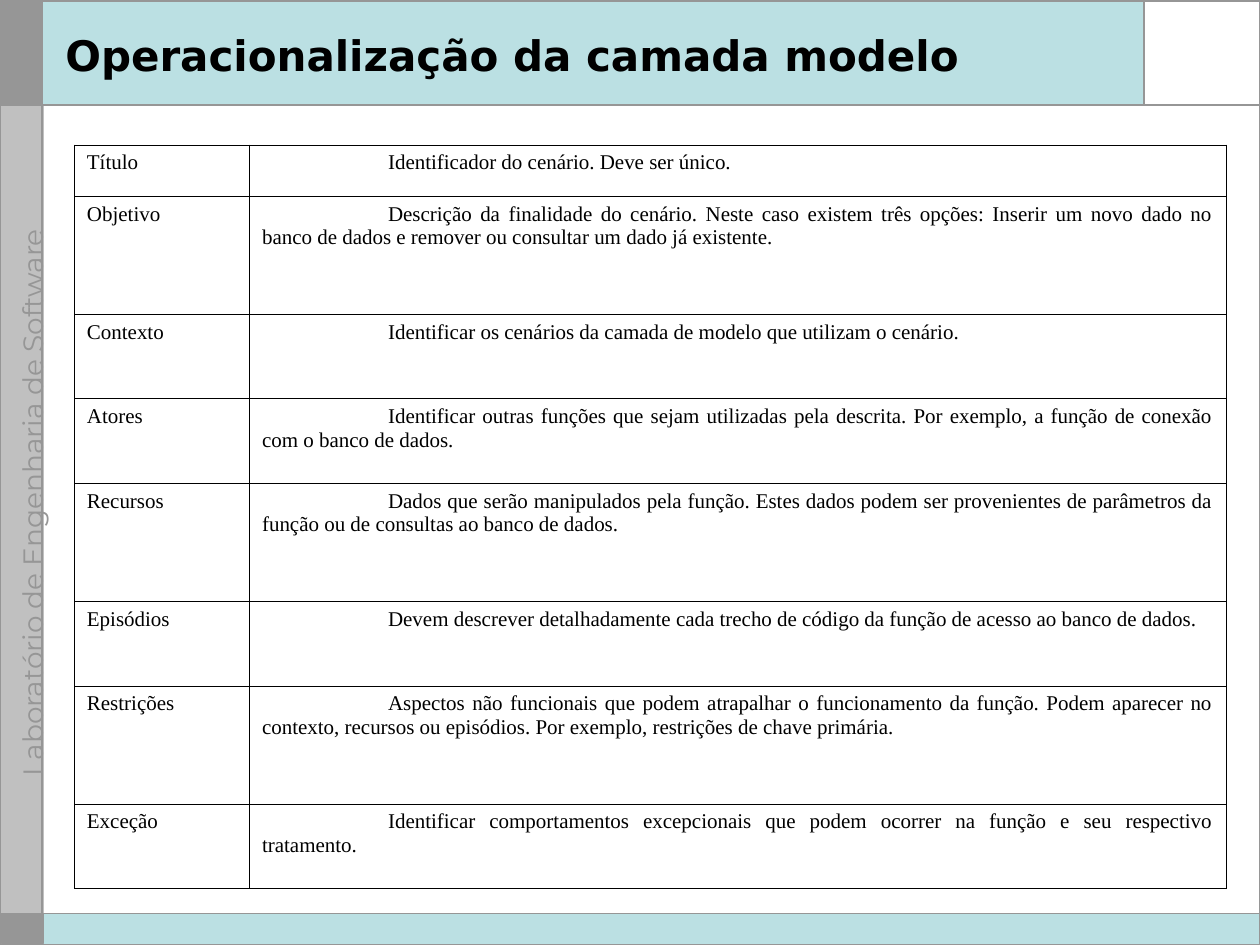
from typing import NamedTuple

from pptx import Presentation
from pptx.dml.color import RGBColor as Rgb
from pptx.enum.shapes import MSO_CONNECTOR as Link, MSO_SHAPE as Form
from pptx.enum.text import MSO_ANCHOR as Anchor, PP_ALIGN as Align
from pptx.oxml import parse_xml
from pptx.oxml.ns import nsdecls, qn
from pptx.oxml.xmlchemy import OxmlElement as Node
from pptx.util import Inches, Pt

INK = {"black": "000000", "white": "FFFFFF", "aqua": "BBE0E3",
       "grey": "969696", "light": "C0C0C0"}

# Fine grid of 1000 columns by 750 rows over the slide
COLS, ROWS = 1000, 750
WIDE, HIGH = Inches(10), Inches(7.5)
RAIL, HEAD, FOOT, LOGO = 33.3, 83.3, 725, 908
TAB = 914400


class Box(NamedTuple):
    x: float
    y: float
    w: float
    h: float


class Panel(NamedTuple):
    box: Box
    fill: str | None
    line: str | None = None
    width: float = 0.75


class Rule(NamedTuple):
    x1: float
    y1: float
    x2: float
    y2: float


class Label(NamedTuple):
    box: Box
    text: str
    font: dict
    ink: str
    frame: dict
    align: Align = Align.LEFT
    turn: float = 0


PANELS = [
    Panel(Box(1, 1, RAIL, HEAD), "grey", "grey"),
    Panel(Box(RAIL, 0, COLS - RAIL, HEAD), "aqua"),
    Panel(Box(1, HEAD, RAIL, FOOT - HEAD), "light", "light"),
    Panel(Box(LOGO, 0, COLS - LOGO, HEAD), "white"),
    Panel(Box(RAIL, FOOT, COLS - RAIL, ROWS - FOOT), "aqua"),
    Panel(Box(1, FOOT, RAIL, 24), "grey", "grey"),
    Panel(Box(0, 1, COLS, ROWS - 1), None, "grey", 1),
]
RULES = [
    Rule(LOGO, 0, LOGO, HEAD),
    Rule(0, HEAD, COLS, HEAD),
    Rule(RAIL, 0, RAIL, ROWS),
    Rule(0, FOOT, COLS, FOOT),
]
LABELS = [
    # Wide enough to hold the side text on one line
    Label(Box(-224, 390, 480, 18), "Laboratório de Engenharia de Software",
          {"name": "Montserrat", "size": Pt(16)}, "grey",
          {"word_wrap": False}, Align.CENTER, 270),
    Label(Box(42, 12, 858, 62), "Operacionalização da camada modelo",
          {"name": "DejaVu Sans", "size": Pt(24), "bold": True}, "black",
          {"word_wrap": True, "vertical_anchor": Anchor.MIDDLE}),
]

# Row heights of the table, by size
SHORT, MID, TALL = 40.6, 67.2, 93.7
SPANS = (139, 775)
ITEMS = [
    (SHORT, "Título", "Identificador do cenário. Deve ser único."),
    (TALL, "Objetivo", "Descrição da finalidade do cenário. Neste caso existem "
     "três opções: Inserir um novo dado no banco de dados e remover ou "
     "consultar um dado já existente."),
    (MID, "Contexto", "Identificar os cenários da camada de modelo que "
     "utilizam o cenário."),
    (MID, "Atores", "Identificar outras funções que sejam utilizadas pela "
     "descrita. Por exemplo, a função de conexão com o banco de dados."),
    (TALL, "Recursos", "Dados que serão manipulados pela função. Estes dados "
     "podem ser provenientes de parâmetros da função ou de consultas ao banco "
     "de dados."),
    (MID, "Episódios", "Devem descrever detalhadamente cada trecho de código "
     "da função de acesso ao banco de dados."),
    (TALL, "Restrições", "Aspectos não funcionais que podem atrapalhar o "
     "funcionamento da função. Podem aparecer no contexto, recursos ou "
     "episódios. Por exemplo, restrições de chave primária."),
    (MID, "Exceção", "Identificar comportamentos excepcionais que podem "
     "ocorrer na função e seu respectivo tratamento."),
]


def across(n: float) -> int:
    return round(WIDE * n / COLS)


def down(n: float) -> int:
    return round(HIGH * n / ROWS)


def place(box: Box) -> tuple:
    return across(box.x), down(box.y), across(box.w), down(box.h)


def tint(name: str) -> Rgb:
    return Rgb.from_string(INK[name])


def apply(part, values: dict) -> None:
    for key, value in values.items():
        setattr(part, key, value)


def write(frame, text: str, font: dict, ink: str, align: Align):
    para = frame.paragraphs[0]
    para.alignment = align
    run = para.add_run()
    run.text = text
    apply(run.font, font)
    run.font.color.rgb = tint(ink)
    return para


def draw_panel(slide, panel: Panel) -> None:
    shape = slide.shapes.add_shape(Form.RECTANGLE, *place(panel.box))
    shape.shadow.inherit = False
    if panel.fill:
        shape.fill.solid()
        shape.fill.fore_color.rgb = tint(panel.fill)
    else:
        shape.fill.background()
    if panel.line:
        shape.line.color.rgb = tint(panel.line)
        shape.line.width = Pt(panel.width)
    else:
        shape.line.fill.background()


def draw_rule(slide, rule: Rule) -> None:
    line = slide.shapes.add_connector(
        Link.STRAIGHT, across(rule.x1), down(rule.y1),
        across(rule.x2), down(rule.y2))
    line.line.color.rgb = tint("grey")
    line.line.width = Pt(1)
    line._element.spPr.append(Node("a:effectLst"))


def draw_label(slide, label: Label) -> None:
    shape = slide.shapes.add_textbox(*place(label.box))
    shape.rotation = label.turn
    apply(shape.text_frame, label.frame)
    write(shape.text_frame, label.text, label.font, label.ink, label.align)


def edge_cell(cell) -> None:
    props = cell._tc.get_or_add_tcPr()
    for spot, side in enumerate("LRTB"):
        props.insert(spot, parse_xml(
            f'<a:ln{side} {nsdecls("a")} w="{Pt(0.45)}"><a:solidFill>'
            f'<a:srgbClr val="{INK["black"]}"/></a:solidFill></a:ln{side}>'))


def fill_cell(cell, text: str) -> None:
    cell.fill.background()
    edge_cell(cell)
    font = {"name": "Times New Roman", "size": Pt(12)}
    para = write(cell.text_frame, text, font, "black", Align.JUSTIFY)
    stops = Node("a:tabLst")
    stop = Node("a:tab")
    stop.set("pos", str(TAB))
    stop.set("algn", "l")
    stops.append(stop)
    para._p.find(qn("a:pPr")).append(stops)


def draw_table(slide) -> None:
    box = Box(59, 115, sum(SPANS), sum(item[0] for item in ITEMS))
    table = slide.shapes.add_table(len(ITEMS), len(SPANS), *place(box)).table
    apply(table, {"first_row": False, "horz_banding": False})
    for col, span in zip(table.columns, SPANS):
        col.width = across(span)
    for row, (tall, term, note) in zip(table.rows, ITEMS):
        row.height = down(tall)
        for cell, text in zip(row.cells, (term, "\t" + note)):
            fill_cell(cell, text)


def main() -> None:
    deck = Presentation()
    apply(deck, {"slide_width": WIDE, "slide_height": HIGH})
    slide = deck.slides.add_slide(deck.slide_layouts[6])
    # Frame of the page
    for panel in PANELS:
        draw_panel(slide, panel)
    for rule in RULES:
        draw_rule(slide, rule)
    # Side text, title and table
    for label in LABELS:
        draw_label(slide, label)
    draw_table(slide)
    deck.save("out.pptx")


if __name__ == "__main__":
    main()
